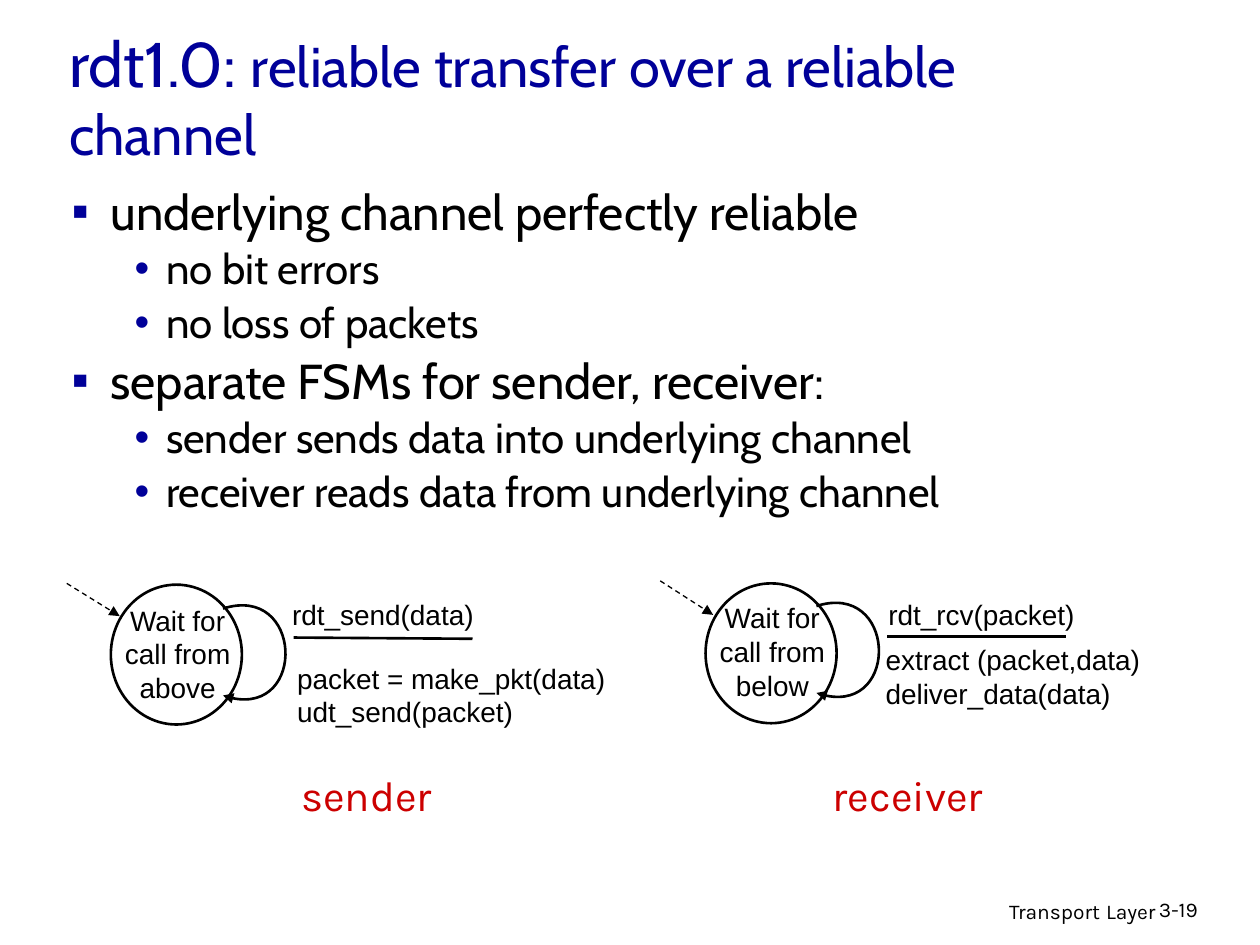
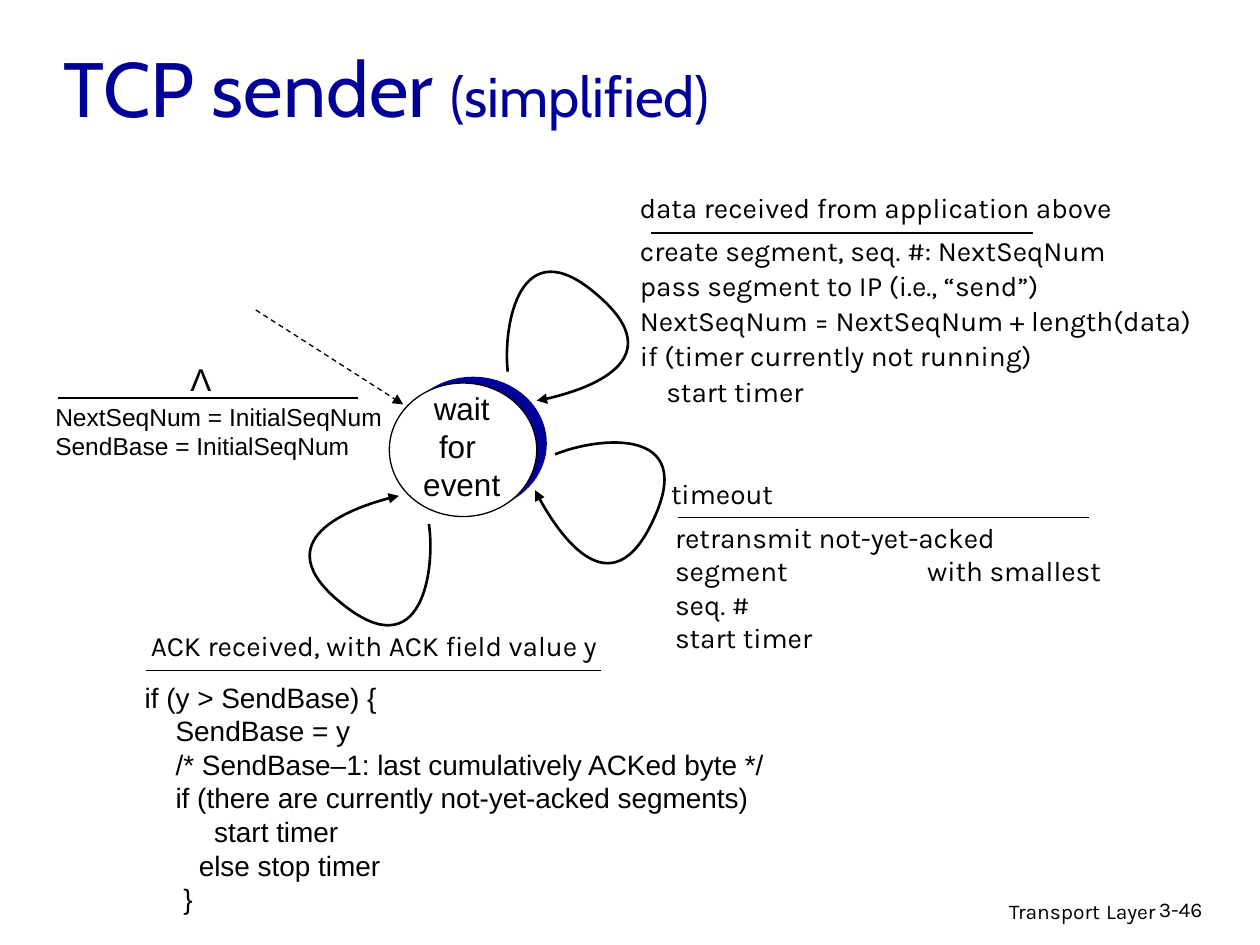
from lxml.etree import SubElement
from pptx import Presentation
from pptx.dml.color import RGBColor
from pptx.enum.dml import MSO_LINE as DASH
from pptx.enum.shapes import MSO_CONNECTOR as CONNECTOR, MSO_SHAPE as SHAPE
from pptx.enum.text import MSO_ANCHOR as ANCHOR, MSO_AUTO_SIZE as AUTO_SIZE, PP_ALIGN as ALIGN
from pptx.oxml.ns import qn
from pptx.util import Inches, Pt

BLACK = RGBColor(0x00, 0x00, 0x00)
WHITE = RGBColor(0xFF, 0xFF, 0xFF)
NAVY = RGBColor(0x00, 0x00, 0x99)
RED = RGBColor(0xCC, 0x00, 0x00)
TITLE_FONT, LABEL_FONT, CODE_FONT = "Cabin", "Karla", "Arial"


def write_text(slide, box, paragraphs, size=16, font=CODE_FONT, color=BLACK,
               align=ALIGN.LEFT, anchor=ANCHOR.TOP, wrap=True, spacing=None):
    """Each paragraph is a string or a list of (text, size) runs."""
    frame = slide.shapes.add_textbox(*map(Inches, box)).text_frame
    frame.word_wrap = wrap
    frame.auto_size = AUTO_SIZE.NONE if wrap else AUTO_SIZE.SHAPE_TO_FIT_TEXT
    frame.vertical_anchor = anchor
    for index, content in enumerate(paragraphs):
        paragraph = frame.add_paragraph() if index else frame.paragraphs[0]
        paragraph.alignment = align
        if spacing:
            paragraph.line_spacing = spacing
        runs = [(content, size)] if isinstance(content, str) else content
        for words, run_size in runs:
            run = paragraph.add_run()
            run.text = words
            run.font.size = Pt(run_size)
            run.font.name = font
            run.font.color.rgb = color
    return frame.paragraphs


def style_stroke(shape, width, arrow=False):
    shape.line.color.rgb = BLACK
    shape.line.width = Pt(width)
    properties = shape._element.spPr
    if arrow:
        SubElement(properties.find(qn("a:ln")), qn("a:tailEnd"), type="triangle")
    SubElement(properties, qn("a:effectLst"))


deck = Presentation()
deck.slide_width, deck.slide_height = Inches(10), Inches(7.5)
blank = deck.slide_layouts[6]

# Titles and footers
headings = [
    ((0.45, 0.21, 8.75, 1.1), "3-19",
     [("rdt1.0: ", 36), ("reliable transfer over a reliable channel", 32)]),
    ((0.41, 0.2, 8.46, 0.98), "3-46", [("TCP sender ", 44), ("(simplified)", 32)]),
]
for title_box, page, title in headings:
    slide = deck.slides.add_slide(blank)
    write_text(slide, (6.1, 7.05, 3.17, 0.31),
               [[("Transport", 12), (" ", 14), ("Layer", 12)]],
               font=LABEL_FONT, align=ALIGN.RIGHT)
    write_text(slide, (9.1, 7.07, 0.74, 0.3), [page], size=12, font=LABEL_FONT)
    write_text(slide, title_box, [title], font=TITLE_FONT, color=NAVY, anchor=ANCHOR.MIDDLE)
rdt, tcp = deck.slides

# rdt1.0: bulleted points
points = [
    (0, "underlying channel perfectly reliable"),
    (1, "no bit errors"),
    (1, "no loss of packets"),
    (0, "separate FSMs for sender, receiver:"),
    (1, "sender sends data into underlying channel"),
    (1, "receiver reads data from underlying channel"),
]
# symbol, text size, space before, left margin, hanging indent
bullet_levels = [("▪", 28, 7, 0.31, -0.31), ("•", 24, 6, 0.75, -0.25)]
bullets = write_text(rdt, (0.47, 1.46, 8.64, 3.3),
                     [[(words, bullet_levels[level][1])] for level, words in points],
                     font=TITLE_FONT, spacing=0.85)
for index, (bullet, (level, _)) in enumerate(zip(bullets, points)):
    symbol, _, space, margin, indent = bullet_levels[level]
    bullet.level = level
    bullet.space_before = Pt(space if index else 0)
    properties = bullet._p.get_or_add_pPr()
    properties.set("marL", str(Inches(margin)))
    properties.set("indent", str(Inches(indent)))
    SubElement(SubElement(properties, qn("a:buClr")), qn("a:srgbClr"), val=str(NAVY))
    SubElement(properties, qn("a:buFont"), typeface="Arial")
    SubElement(properties, qn("a:buChar"), char=symbol)

# States: slide, circle box, fill, outline width
states = [
    (rdt, (0.88, 4.64, 1.04, 1.11), WHITE, 1.5),
    (rdt, (5.6, 4.63, 1.04, 1.11), WHITE, 1.5),
    (tcp, (3.17, 2.99, 1.17, 1.06), NAVY, None),
    (tcp, (3.09, 3.04, 1.17, 1.06), WHITE, 0.75),
]
for slide, box, fill, outline in states:
    state = slide.shapes.add_shape(SHAPE.OVAL, *map(Inches, box))
    state.fill.solid()
    state.fill.fore_color.rgb = fill
    if outline:
        style_stroke(state, outline)
    else:
        state.line.fill.background()
        state.shadow.inherit = False

# Entry arrows and event rules: slide, from, to, width, arrow
strokes = [
    (rdt, (0.53, 4.63), (0.95, 4.89), 0.75, True),
    (rdt, (2.33, 5.06), (3.75, 5.07), 1.5, False),
    (rdt, (5.24, 4.61), (5.66, 4.88), 0.75, True),
    (rdt, (7.04, 5.05), (8.46, 5.05), 1.5, False),
    (tcp, (2.03, 2.46), (3.2, 3.21), 0.75, True),
    (tcp, (0.46, 3.16), (2.84, 3.16), 0.75, False),
    (tcp, (5.17, 1.85), (8.2, 1.85), 0.75, False),
    (tcp, (5.38, 4.11), (8.64, 4.11), 0.75, False),
    (tcp, (1.16, 5.32), (4.77, 5.32), 0.75, False),
]
for slide, start, end, width, arrow in strokes:
    stroke = slide.shapes.add_connector(CONNECTOR.STRAIGHT, *map(Inches, start + end))
    style_stroke(stroke, width, arrow)
    if arrow:
        stroke.line.dash_style = DASH.DASH

# Transitions back to the same state: start point, then three points per cubic curve
rdt_loop = [(0, 0.2), (0.63, 0), (0.67, 1.12), (0, 0.89)]
tcp_loop = [(0.04, 1.15), (0, 0.79), (0.13, 0), (0.75, 0.54),
            (1.37, 1.07), (0.53, 1.34), (0.27, 1.38)]
# slide, curve, left, top, rotation
transitions = [
    (rdt, rdt_loop, 1.77, 4.63, 0),
    (rdt, rdt_loop, 6.48, 4.61, 0),
    (tcp, tcp_loop, 3.99, 1.8, 0),
    (tcp, tcp_loop, 4.34, 3.41, 74),
    (tcp, tcp_loop, 2.09, 3.95, 178),
]
for slide, loop, left, top, rotation in transitions:
    knots = [(Inches(left + x), Inches(top + y)) for x, y in loop]
    builder = slide.shapes.build_freeform(*knots[0])
    builder.add_line_segments(knots[1:], close=False)
    transition = builder.convert_to_shape()
    transition.rotation = rotation
    transition.fill.background()
    style_stroke(transition, 1.5, arrow=True)
    # Turn each three segments into one cubic curve
    outline = transition._element.spPr.find(".//" + qn("a:path"))
    segments = outline.findall(qn("a:lnTo"))
    for first in range(0, len(segments), 3):
        curve = SubElement(outline, qn("a:cubicBezTo"))
        for segment in segments[first:first + 3]:
            curve.append(segment[0])
            outline.remove(segment)

# rdt1.0: state names, events and actions
for box, name in [((0.81, 4.74, 1.2, 1), "Wait for call from above"),
                  ((5.53, 4.72, 1.2, 1), "Wait for call from below")]:
    write_text(rdt, box, [name], align=ALIGN.CENTER)
write_text(rdt, (2.22, 4.69, 2.47, 0.47), ["rdt_send(data)"])
write_text(rdt, (2.26, 5.2, 2.93, 0.65), ["packet = make_pkt(data)", "udt_send(packet)"])
write_text(rdt, (6.95, 4.69, 1.68, 0.37), ["rdt_rcv(packet)"], align=ALIGN.CENTER, wrap=False)
write_text(rdt, (6.93, 5.05, 2.72, 0.47), ["extract (packet,data)", "deliver_data(data)"])
for box, role in [((2.27, 6.06, 1.28, 0.5), "sender"), ((6.48, 6.06, 1.45, 0.5), "receiver")]:
    write_text(rdt, box, [role], size=24, font=LABEL_FONT, color=RED,
               align=ALIGN.CENTER, wrap=False)

# TCP sender: state name and initial action
write_text(tcp, (3.26, 3.04, 0.81, 1), ["wait", "for ", "event"], size=18,
           align=ALIGN.CENTER, wrap=False)
write_text(tcp, (1.41, 2.81, 0.37, 0.4), ["Λ"], size=18, align=ALIGN.CENTER, wrap=False)
write_text(tcp, (0.34, 3.14, 2.85, 0.57),
           ["NextSeqNum = InitialSeqNum", "SendBase = InitialSeqNum"], size=14)

# TCP sender: events
for box, event in [
    ((4.92, 1.46, 4.06, 0.37), "data received from application above"),
    ((5.22, 3.73, 1.02, 0.37), "timeout"),
    ((1.02, 4.94, 3.95, 0.37), "ACK received, with ACK field value y "),
]:
    write_text(tcp, box, [event], font=LABEL_FONT, align=ALIGN.CENTER, wrap=False)

# TCP sender: actions
write_text(tcp, (4.98, 1.79, 4.78, 1.77), [
    "create segment, seq. #: NextSeqNum",
    "pass segment to IP (i.e., “send”)",
    "NextSeqNum = NextSeqNum + length(data)",
    "if (timer currently not running)",
    "    start timer",
], font=LABEL_FONT, wrap=False, spacing=1.05)
retransmit, _ = write_text(tcp, (5.26, 4.08, 3.6, 1.17), [
    "retransmit not-yet-acked segment\twith smallest seq. #",
    "start timer",
], font=LABEL_FONT)
tab_stops = SubElement(retransmit._p.get_or_add_pPr(), qn("a:tabLst"))
SubElement(tab_stops, qn("a:tab"), pos=str(Inches(2)), algn="l")
write_text(tcp, (1.05, 5.35, 5.13, 1.97), [
    "if (y > SendBase) {",
    "    SendBase = y",
    "    /* SendBase–1: last cumulatively ACKed byte */",
    "    if (there are currently not-yet-acked segments)",
    "         start timer",
    "       else stop timer",
    "     }",
], wrap=False)

deck.save("out.pptx")
